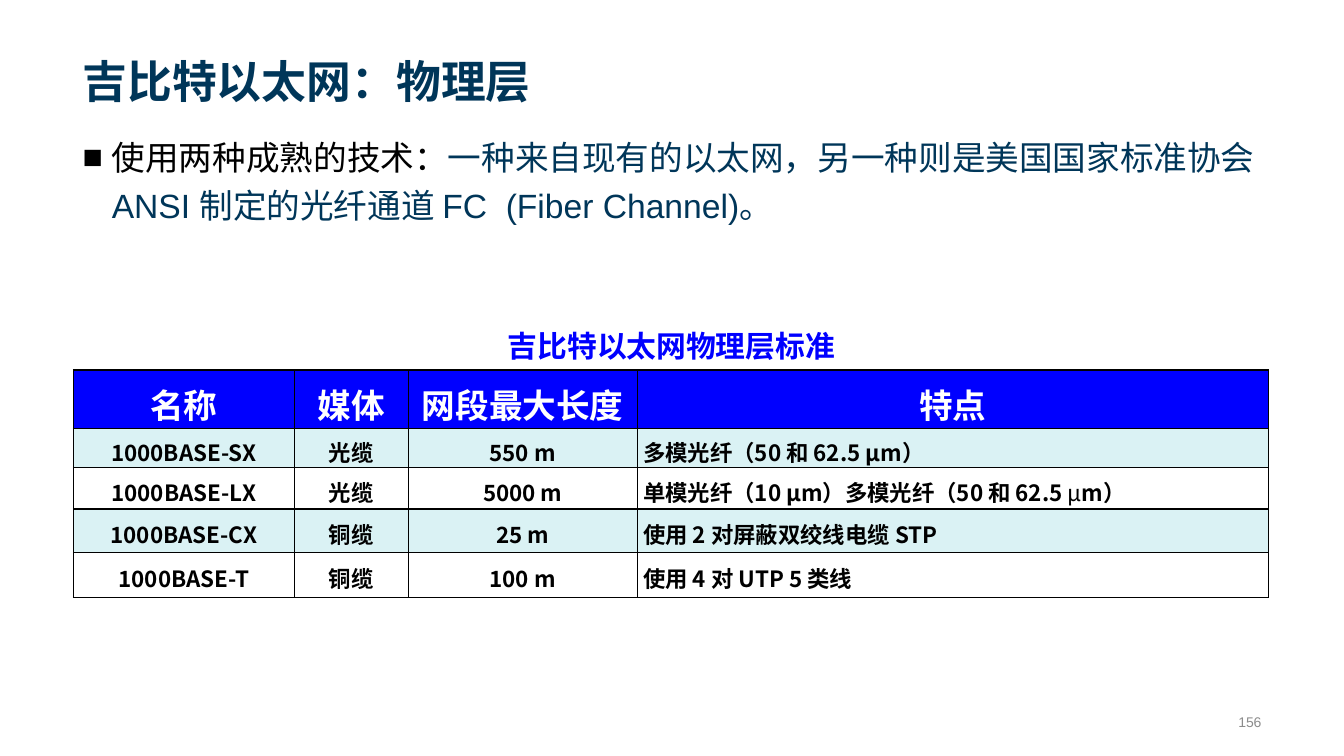
from lxml import etree
from pptx import Presentation
from pptx import util as u
from pptx.dml.color import RGBColor
from pptx.enum import text
from pptx.oxml.ns import qn

NAVY, BLUE, BLACK, WHITE = "003659", "0000FF", "000000", "FFFFFF"
PALE, GREY = "DAF2F4", "8C8C8C"
ARIAL, NOTO = "Arial", "Noto Sans CJK SC"
CENTER, RIGHT = text.PP_ALIGN.CENTER, text.PP_ALIGN.RIGHT
MIDDLE, BOTTOM = text.MSO_ANCHOR.MIDDLE, text.MSO_ANCHOR.BOTTOM


def color(value):
    return RGBColor.from_string(value)


class SlideBuilder:
    def __init__(self, presentation):
        self.slide = presentation.slides.add_slide(presentation.slide_layouts[6])

    def fill_paragraph(self, paragraph, runs, size, fill, name=ARIAL, bold=False,
                       align=None, spacing=None, bullet=None):
        """Fill a paragraph with (text, font overrides) runs."""
        paragraph.alignment = align
        paragraph.line_spacing = spacing
        if bullet:
            properties = paragraph._p.get_or_add_pPr()
            hanging = u.Inches(0.29)
            properties.set("marL", str(hanging))
            properties.set("indent", str(-hanging))
            etree.SubElement(properties, qn("a:buFont"), typeface=ARIAL)
            etree.SubElement(properties, qn("a:buChar"), char=bullet)
        font = paragraph.font
        font.name, font.size, font.bold = name, u.Pt(size), bold
        font.color.rgb = color(fill)
        if name == NOTO:
            defaults = paragraph._p.pPr.find(qn("a:defRPr"))
            latin = defaults.find(qn("a:latin"))
            latin.addnext(etree.Element(qn("a:ea"), typeface=NOTO))
        for content, overrides in runs:
            run = paragraph.add_run()
            run.text = content
            if "bold" in overrides:
                run.font.bold = overrides["bold"]
            if "fill" in overrides:
                run.font.color.rgb = color(overrides["fill"])

    def text_box(self, box, runs, size, fill, anchor=None, wrap=True, **style):
        shape = self.slide.shapes.add_textbox(*map(u.Inches, box))
        frame = shape.text_frame
        frame.word_wrap = wrap
        frame.vertical_anchor = anchor
        self.fill_paragraph(frame.paragraphs[0], runs, size, fill, **style)

    def border(self, cell):
        properties = cell._tc.get_or_add_tcPr()
        for index, side in enumerate(("lnL", "lnR", "lnT", "lnB")):
            line = etree.Element(qn(f"a:{side}"), w=str(u.Pt(1)))
            solid = etree.SubElement(line, qn("a:solidFill"))
            etree.SubElement(solid, qn("a:srgbClr"), val=BLACK)
            properties.insert(index, line)

    def table(self, box, widths, heights, rows):
        """Draw a blue header row over banded rows; the last column is left-aligned."""
        shape = self.slide.shapes.add_table(
            len(rows), len(widths), *map(u.Inches, box))
        table = shape.table
        for column, width in zip(table.columns, widths):
            column.width = u.Inches(width)
        for r, (height, values) in enumerate(zip(heights, rows)):
            table.rows[r].height = u.Inches(height)
            header = r == 0
            background = BLUE if header else PALE if r % 2 else WHITE
            for c, value in enumerate(values):
                cell = table.cell(r, c)
                cell.fill.solid()
                cell.fill.fore_color.rgb = color(background)
                cell.margin_left = cell.margin_right = u.Inches(0.06)
                cell.margin_top = cell.margin_bottom = 0
                cell.vertical_anchor = MIDDLE
                self.border(cell)
                runs = [(value, {})] if isinstance(value, str) else value
                last = c == len(values) - 1
                self.fill_paragraph(
                    cell.text_frame.paragraphs[0], runs,
                    24 if header else 16, WHITE if header else BLACK,
                    name=NOTO, bold=True, spacing=1.2,
                    align=None if last and not header else CENTER)


def main():
    presentation = Presentation()
    presentation.slide_width = u.Inches(13.33)
    presentation.slide_height = u.Inches(7.5)
    builder = SlideBuilder(presentation)

    builder.text_box((0.72, 0.14, 11.88, 0.98), [("吉比特以太网：物理层", {})],
                     32, NAVY, anchor=BOTTOM, name=NOTO, bold=True)
    builder.text_box(
        (0.72, 1.23, 11.88, 5.48),
        [("使用两种成熟的技术：", {"fill": BLACK}),
         ("一种来自现有的以太网，另一种则是美国国家标准协会 ANSI 制定的光纤通道 "
          "FC  (Fiber Channel)。", {})],
        24, NAVY, spacing=1.2, bullet="■")
    builder.text_box((11.73, 7.01, 0.88, 0.3), [("156", {})], 10, GREY,
                     anchor=MIDDLE, align=RIGHT)
    builder.table(
        (0.73, 3.67, 11.85, 2.26),
        (2.19, 1.13, 2.27, 6.26),
        (0.58, 0.39, 0.41, 0.43, 0.45),
        [("名称", "媒体", "网段最大长度", "特点"),
         ("1000BASE-SX", "光缆", "550 m", "多模光纤（50 和 62.5 μm）"),
         ("1000BASE-LX", "光缆", "5000 m",
          [("单模光纤（10 μm）多模光纤（50 和 62.5 ", {}),
           ("μ", {"bold": False}), ("m）", {})]),
         ("1000BASE-CX", "铜缆", "25 m", "使用 2 对屏蔽双绞线电缆 STP"),
         ("1000BASE-T", "铜缆", "100 m", "使用 4 对 UTP 5 类线")])
    builder.text_box((4.91, 3.13, 3.5, 0.49), [("吉比特以太网物理层标准", {})],
                     21.3, BLUE, wrap=False, bold=True, align=CENTER, spacing=1.2)
    presentation.save("out.pptx")


if __name__ == "__main__":
    main()
